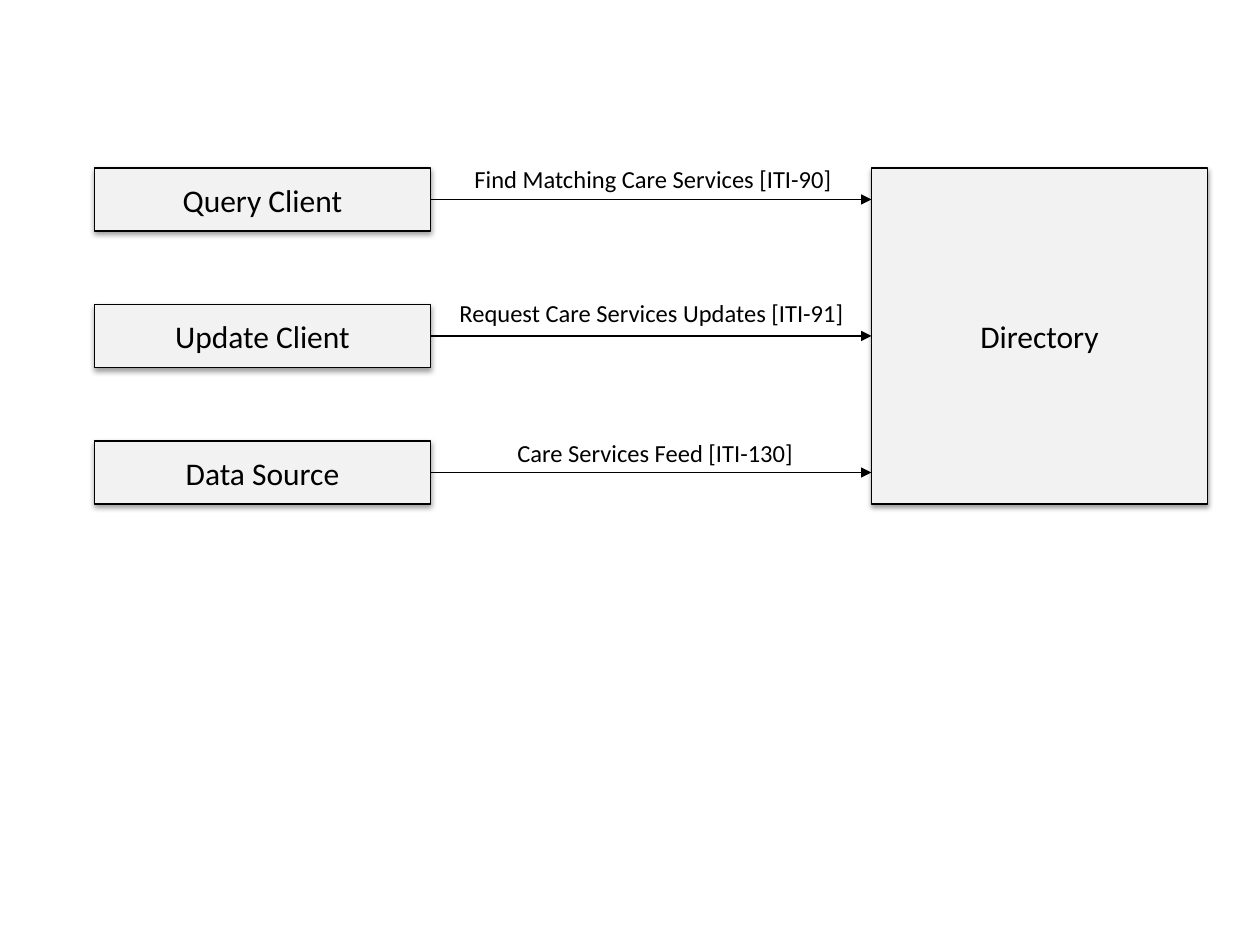
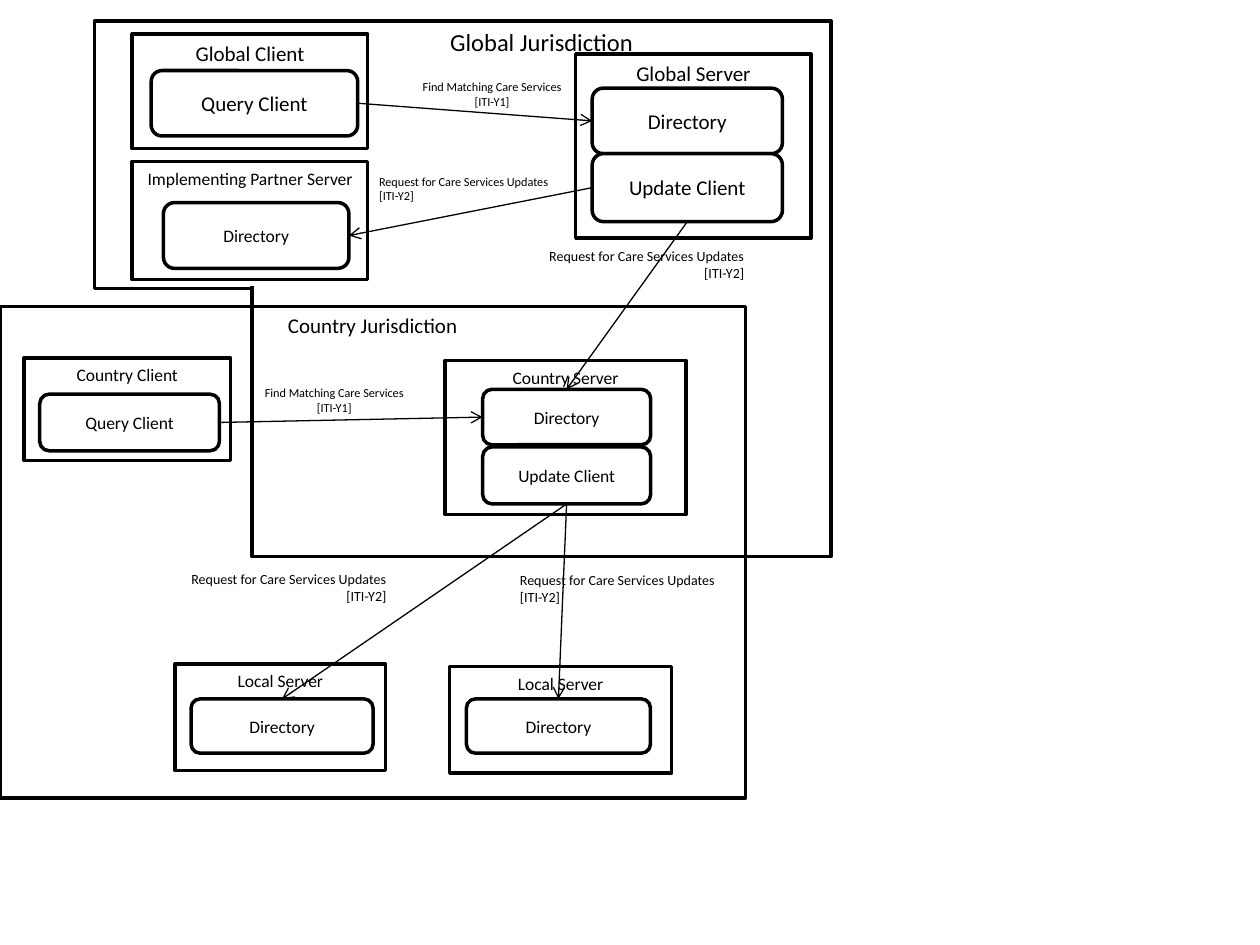
from dataclasses import dataclass

from pptx import Presentation
from pptx.dml.color import RGBColor
from pptx.enum.shapes import MSO_CONNECTOR, MSO_SHAPE
from pptx.enum.text import MSO_ANCHOR, MSO_AUTO_SIZE, PP_ALIGN
from pptx.oxml.ns import qn
from pptx.util import Pt
from lxml.etree import SubElement

TOP, LEFT, BOTTOM, RIGHT = range(4)


@dataclass(frozen=True)
class Theme:
    font: str = "Calibri"
    ink: RGBColor = RGBColor(0x00, 0x00, 0x00)
    paper: RGBColor = RGBColor(0xFF, 0xFF, 0xFF)
    panel: RGBColor = RGBColor(0xF2, 0xF2, 0xF2)
    thin: float = 0.75
    thick: float = 2
    actor_size: int = 18
    transaction_size: int = 14
    jurisdiction_size: int = 14
    global_size: int = 12
    local_size: int = 10
    note_size: int = 8
    small_note_size: int = 7


THEME = Theme()
FIND = "Find Matching Care Services\n[ITI-Y1]"
REQUEST = "Request for Care Services Updates\n[ITI-Y2]"


def points(box):
    return [Pt(value) for value in box]


def write_text(shape, text, *, size, align=PP_ALIGN.LEFT, anchor=MSO_ANCHOR.TOP, wrap=True):
    """Fill a shape with text, one paragraph for each line."""
    frame = shape.text_frame
    frame.text = text
    frame.word_wrap = wrap
    frame.vertical_anchor = anchor
    for paragraph in frame.paragraphs:
        paragraph.alignment = align
        paragraph.font.name = THEME.font
        paragraph.font.size = Pt(size)
        paragraph.font.color.rgb = THEME.ink


def add_box(shapes, box, *, text="", size=THEME.global_size, kind=MSO_SHAPE.RECTANGLE,
            anchor=MSO_ANCHOR.TOP, fill=THEME.paper, line=THEME.ink, width=THEME.thick):
    """Add an outlined box; fill=None leaves it see-through."""
    shape = shapes.add_shape(kind, *points(box))
    shape.shadow.inherit = False
    if fill is None:
        shape.fill.background()
    else:
        shape.fill.solid()
        shape.fill.fore_color.rgb = fill
    shape.line.color.rgb = line
    shape.line.width = Pt(width)
    if text:
        write_text(shape, text, size=size, align=PP_ALIGN.CENTER, anchor=anchor)
    return shape


def add_shadow(shape):
    effects = shape._element.spPr.find(qn("a:effectLst"))
    shadow = SubElement(effects, qn("a:outerShdw"), blurRad=str(Pt(3.1)), dist=str(Pt(1.6)),
                        dir="5400000", rotWithShape="0")
    color = SubElement(shadow, qn("a:srgbClr"), val=str(THEME.ink))
    SubElement(color, qn("a:alpha"), val="38000")


def add_actor(shapes, text, box):
    actor = add_box(shapes, box, text=text, size=THEME.actor_size, anchor=MSO_ANCHOR.MIDDLE,
                    fill=THEME.panel, width=THEME.thin)
    add_shadow(actor)
    return actor


def add_role(shapes, text, box, size):
    return add_box(shapes, box, text=text, size=size, kind=MSO_SHAPE.ROUNDED_RECTANGLE,
                   anchor=MSO_ANCHOR.MIDDLE)


def add_system(shapes, text, box, size, roles):
    """Add a titled system box with its roles and return the role shapes."""
    add_box(shapes, box, text=text, size=size)
    return [add_role(shapes, name, role_box, size) for name, role_box in roles]


def add_arrow(slide, start, start_side, end=None, end_side=None, *, to=(0, 0), head="arrow"):
    """Draw an arrow from a side of start to a side of end, or to a free point."""
    connector = slide.shapes.add_connector(MSO_CONNECTOR.STRAIGHT, 0, 0, *points(to))
    connector.begin_connect(start, start_side)
    if end is not None:
        connector.end_connect(end, end_side)
    connector.line.color.rgb = THEME.ink
    connector.line.width = Pt(THEME.thin)
    SubElement(connector.line._get_or_add_ln(), qn("a:tailEnd"), type=head)
    SubElement(connector._element.spPr, qn("a:effectLst"))


def add_label(slide, text, box, size, align=PP_ALIGN.LEFT):
    label = slide.shapes.add_textbox(*points(box))
    write_text(label, text, size=size, align=align, wrap=False)
    label.text_frame.auto_size = MSO_AUTO_SIZE.SHAPE_TO_FIT_TEXT


def build_actor_diagram(slide):
    left, top, width, height, step = 54, 96, 192, 36, 78
    directory_left = 498
    clients = [add_actor(slide.shapes, name, (left, top + row * step, width, height))
               for row, name in enumerate(("Query Client", "Update Client", "Data Source"))]
    directory = add_actor(slide.shapes, "Directory",
                          (directory_left, top, width, 2 * step + height))
    transactions = [
        ("Find Matching Care Services [ITI-90]", (264, 90, 220.5, 24.5)),
        ("Request Care Services Updates [ITI-91]", (255.5, 166.5, 236, 24.5)),
        ("Care Services Feed [ITI-130]", (288.5, 247, 173.5, 24.5)),
    ]
    for row, (client, (text, box)) in enumerate(zip(clients, transactions)):
        target = (directory, LEFT) if row == 1 else ()
        middle = top + row * step + height / 2
        add_arrow(slide, client, RIGHT, *target, to=(directory_left, middle), head="triangle")
        add_label(slide, text, box, THEME.transaction_size)


def add_jurisdictions(shapes):
    """Add the country area and the L-shaped global area, whose inner seam is covered."""
    add_box(shapes, (0, 175, 426, 281), text="Country Jurisdiction", size=THEME.global_size)
    add_box(shapes, (144, 12, 331, 306), text="Global Jurisdiction",
            size=THEME.jurisdiction_size, fill=None)
    add_box(shapes, (54, 12, 90, 153))
    add_box(shapes, (140.4, 14.4, 7.2, 148.3), line=THEME.paper)


def build_federation_diagram(slide):
    add_jurisdictions(slide.shapes)
    large, small = THEME.global_size, THEME.local_size

    group = slide.shapes.add_group_shape().shapes
    global_directory, global_update = add_system(
        group, "Global Server", (329, 31, 134.6, 105), large,
        [("Directory", (338.4, 50.4, 108.7, 37.4)),
         ("Update Client", (338.4, 87.8, 108.7, 38.9))])
    global_query, = add_system(
        group, "Global Client", (75.6, 19.4, 134.6, 65.5), large,
        [("Query Client", (86.4, 40.3, 118, 37.4))])

    group = slide.shapes.add_group_shape().shapes
    country_directory, country_update = add_system(
        group, "Country Server", (254.2, 206, 137.9, 88), small,
        [("Directory", (275.8, 222.5, 96, 31.7)),
         ("Update Client", (275.8, 255.4, 96, 32.6))])
    country_query, = add_system(
        group, "Country Client", (13.7, 204.5, 118, 58.6), small,
        [("Query Client", (22.7, 225.2, 102.7, 32.4))])

    lone_servers = [
        ("Local Server", (100, 379.4, 120.4, 61), (109.2, 399.4, 104, 31)),
        ("Local Server", (257, 380.8, 126.7, 61), (266.5, 399.4, 105.2, 31)),
        ("Implementing Partner Server", (75.6, 92.2, 134.6, 67.7), (93.4, 115.8, 106, 37.6)),
    ]
    local_left, local_right, partner = [
        add_system(slide.shapes.add_group_shape().shapes, name, box, small,
                   [("Directory", role_box)])[0]
        for name, box, role_box in lone_servers]

    small_note, note = THEME.small_note_size, THEME.note_size
    center, right, left = PP_ALIGN.CENTER, PP_ALIGN.RIGHT, PP_ALIGN.LEFT
    exchanges = [
        (global_query, RIGHT, global_directory, LEFT,
         FIND, (233.3, 41.8, 95.8, 24.5), small_note, center),
        (country_query, RIGHT, country_directory, LEFT,
         FIND, (143.1, 216.7, 95.8, 24.5), small_note, center),
        (country_update, BOTTOM, local_left, TOP,
         REQUEST, (100.6, 322.6, 127.4, 26.6), note, right),
        (global_update, BOTTOM, country_directory, TOP,
         REQUEST, (305.1, 138.2, 127.4, 26.6), note, right),
        (country_update, BOTTOM, local_right, TOP,
         REQUEST, (290, 323.2, 127.4, 26.6), note, left),
        (global_update, LEFT, partner, RIGHT,
         REQUEST, (209.5, 95.8, 113.8, 24.5), small_note, left),
    ]
    for start, start_side, end, end_side, text, box, size, align in exchanges:
        add_arrow(slide, start, start_side, end, end_side)
        add_label(slide, text, box, size, align)


def main():
    presentation = Presentation()
    presentation.slide_width, presentation.slide_height = Pt(720), Pt(540)
    blank = presentation.slide_layouts.get_by_name("Blank")
    for build in (build_actor_diagram, build_federation_diagram):
        build(presentation.slides.add_slide(blank))
    presentation.save("out.pptx")


if __name__ == "__main__":
    main()
